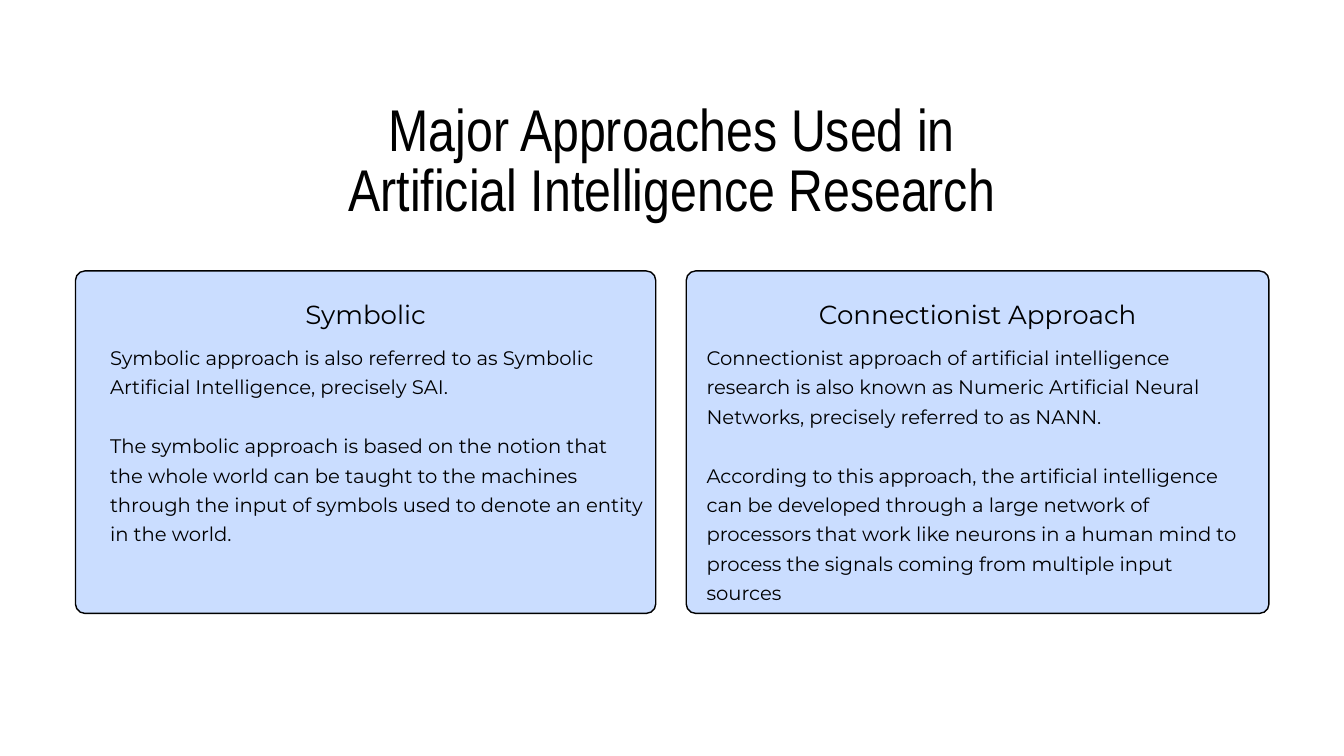
from pptx import Presentation
from pptx.dml.color import RGBColor
from pptx.enum.shapes import MSO_SHAPE
from pptx.enum.text import MSO_ANCHOR, MSO_AUTO_SIZE, PP_ALIGN
from pptx.util import Pt

COLORS = {"text": "000000", "card": "CADDFF", "line": "000000"}
TITLE_FONT, BODY_FONT = "Arial Narrow", "Montserrat"
RADIUS = 10
CARD_TOP, CARD_HEIGHT = 290.3, 366.9

# Card left and width, then body text left and width
CARDS = [
    ((80.9, 621.7), (117.9, 572.6), "Symbolic", [
        "Symbolic approach is also referred to as Symbolic Artificial "
        "Intelligence, precisely SAI.",
        "The symbolic approach is based on the notion that the whole world can "
        "be taught to the machines through the input of symbols used to denote "
        "an entity in the world.",
    ]),
    ((735.3, 624.3), (757, 580), "Connectionist Approach", [
        "Connectionist approach of artificial intelligence research is also "
        "known as Numeric Artificial Neural Networks, precisely referred to as "
        "NANN.",
        "According to this approach, the artificial intelligence can be "
        "developed through a large network of processors that work like neurons "
        "in a human mind to process the signals coming from multiple input "
        "sources",
    ]),
]


def color(name):
    return RGBColor.from_string(COLORS[name])


def fill_text(sp, texts, font, size, leading, align, gap=0):
    tf = sp.text_frame
    tf.word_wrap = True
    tf.auto_size = MSO_AUTO_SIZE.NONE
    tf.vertical_anchor = MSO_ANCHOR.TOP
    tf.margin_left = tf.margin_right = tf.margin_top = tf.margin_bottom = 0
    for i, text in enumerate(texts):
        p = tf.paragraphs[0] if i == 0 else tf.add_paragraph()
        p.text = text
        p.alignment = align
        p.line_spacing = Pt(leading)
        if i:
            p.space_before = Pt(gap)
        p.font.name, p.font.size = font, Pt(size)
        p.font.color.rgb = color("text")


def add_title(s, x, y, w, h):
    sp = s.shapes.title
    sp.left, sp.top, sp.width, sp.height = Pt(x), Pt(y), Pt(w), Pt(h)
    fill_text(sp, ["Major Approaches Used in Artificial Intelligence Research"],
              TITLE_FONT, 63.1, 63.8, PP_ALIGN.CENTER)


def add_card(s, x, y, w, h, body_box, heading, paragraphs):
    # Rounded panel
    sp = s.shapes.add_shape(MSO_SHAPE.ROUNDED_RECTANGLE, Pt(x), Pt(y), Pt(w), Pt(h))
    sp.adjustments[0] = RADIUS / h
    sp.shadow.inherit = False
    sp.fill.solid()
    sp.fill.fore_color.rgb = color("card")
    sp.line.color.rgb = color("line")
    sp.line.width = Pt(1.5)

    # Heading centred on the panel
    box = s.shapes.add_textbox(Pt(x), Pt(y + 26.5), Pt(w), Pt(35.3))
    fill_text(box, [heading], BODY_FONT, 28, 36.4, PP_ALIGN.CENTER)

    # Body text, one line apart
    body_x, body_w = body_box
    box = s.shapes.add_textbox(Pt(body_x), Pt(y + 74), Pt(body_w), Pt(h - 85.4))
    fill_text(box, paragraphs, BODY_FONT, 21, 31.5, PP_ALIGN.LEFT, gap=31.5)


def main():
    prs = Presentation()
    prs.slide_width, prs.slide_height = Pt(1440), Pt(810)
    s = prs.slides.add_slide(prs.slide_layouts[5])
    add_title(s, 366.5, 111.6, 707, 132.5)
    for (x, w), body_box, heading, paragraphs in CARDS:
        add_card(s, x, CARD_TOP, w, CARD_HEIGHT, body_box, heading, paragraphs)
    prs.save("out.pptx")


if __name__ == "__main__":
    main()
